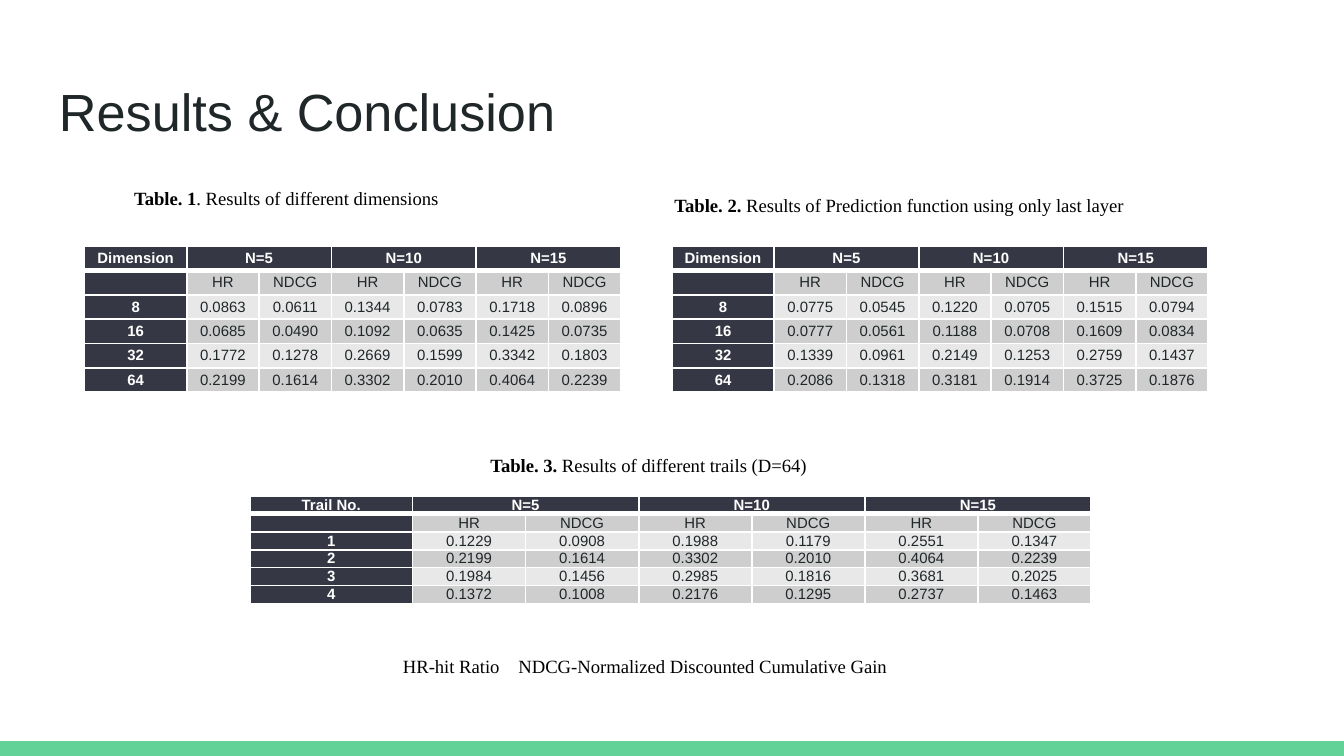
from lxml.etree import SubElement
from pptx import Presentation
from pptx.dml.color import RGBColor
from pptx.enum.shapes import MSO_SHAPE
from pptx.enum.text import MSO_ANCHOR, PP_ALIGN
from pptx.oxml.ns import qn
from pptx.util import Inches, Pt

WHITE = RGBColor(0xFF, 0xFF, 0xFF)
BLACK = RGBColor(0x00, 0x00, 0x00)
INK = RGBColor(0x20, 0x27, 0x29)
NAVY = RGBColor(0x35, 0x37, 0x44)
GREY = RGBColor(0xCE, 0xCE, 0xCF)
LIGHT = RGBColor(0xE8, 0xE8, 0xE9)
GREEN = RGBColor(0x63, 0xD2, 0x97)


def add_text(p, text, size=10, font="Times New Roman", color=BLACK, bold=False):
    r = p.add_run()
    r.text = text
    r.font.size = Pt(size)
    r.font.name = font
    r.font.color.rgb = color
    r.font.bold = bold


def set_borders(cell, top, bottom):
    tc_pr = cell._tc.get_or_add_tcPr()
    for side, width in (("L", 1), ("R", 1), ("T", top), ("B", bottom)):
        ln = SubElement(tc_pr, qn(f"a:ln{side}"), w=str(Pt(width)))
        fill = SubElement(ln, qn("a:solidFill"))
        SubElement(fill, qn("a:srgbClr"), val=str(WHITE))


# Widescreen 16:9 slide
prs = Presentation()
prs.slide_width = Inches(10)
prs.slide_height = Inches(10) * 9 // 16
s = prs.slides.add_slide(prs.slide_layouts[6])

# Bottom bar
bar_height = Inches(0.11)
sp = s.shapes.add_shape(MSO_SHAPE.RECTANGLE, 0, prs.slide_height - bar_height, prs.slide_width, bar_height)
sp.shadow.inherit = False
sp.fill.solid()
sp.fill.fore_color.rgb = GREEN
sp.line.fill.background()

# Title
tf = s.shapes.add_textbox(Inches(0.34), Inches(0.49), Inches(9.32), Inches(0.63)).text_frame
tf.word_wrap = True
tf.margin_top = tf.margin_bottom = Inches(0.1)
add_text(tf.paragraphs[0], "Results & Conclusion", size=28, font="Arial", color=INK)

# Table captions and legend: box, bold part, regular part
captions = [
    ((0.9, 1.34, 3.47, 0.5), "Table. 1", ". Results of different dimensions"),
    ((4.92, 1.39, 3.75, 0.27), "Table. 2. ", "Results of Prediction function using only last layer"),
    ((3.55, 3.33, 2.91, 0.27), "Table. 3. ", "Results of different trails (D=64)"),
    ((2.9, 4.82, 3.93, 0.27), "", "HR-hit Ratio\tNDCG-Normalized Discounted Cumulative Gain"),
]
for box, label, text in captions:
    tf = s.shapes.add_textbox(*map(Inches, box)).text_frame
    tf.word_wrap = True
    p = tf.paragraphs[0]
    if label:
        add_text(p, label, bold=True)
    add_text(p, text)
    if "\t" in text:
        tabs = SubElement(p._p.get_or_add_pPr(), qn("a:tabLst"))
        SubElement(tabs, qn("a:tab"), pos=str(Inches(0.86)), algn="l")

# Result tables: box, first column width, first heading, data rows
tables = [
    ((0.63, 1.83, 3.99, 1.09), 0.76, "Dimension", [
        "8 0.0863 0.0611 0.1344 0.0783 0.1718 0.0896",
        "16 0.0685 0.0490 0.1092 0.0635 0.1425 0.0735",
        "32 0.1772 0.1278 0.2669 0.1599 0.3342 0.1803",
        "64 0.2199 0.1614 0.3302 0.2010 0.4064 0.2239",
    ]),
    ((1.86, 3.69, 6.26, 0.8), 1.21, "Trail No.", [
        "1 0.1229 0.0908 0.1988 0.1179 0.2551 0.1347",
        "2 0.2199 0.1614 0.3302 0.2010 0.4064 0.2239",
        "3 0.1984 0.1456 0.2985 0.1816 0.3681 0.2025",
        "4 0.1372 0.1008 0.2176 0.1295 0.2737 0.1463",
    ]),
    ((5, 1.83, 3.99, 1.09), 0.76, "Dimension", [
        "8 0.0775 0.0545 0.1220 0.0705 0.1515 0.0794",
        "16 0.0777 0.0561 0.1188 0.0708 0.1609 0.0834",
        "32 0.1339 0.0961 0.2149 0.1253 0.2759 0.1437",
        "64 0.2086 0.1318 0.3181 0.1914 0.3725 0.1876",
    ]),
]
for box, first_width, heading, data in tables:
    rows = [[heading, "N=5", "", "N=10", "", "N=15", ""], [""] + ["HR", "NDCG"] * 3]
    rows += [line.split() for line in data]
    table = s.shapes.add_table(len(rows), 7, *map(Inches, box)).table
    for i, column in enumerate(table.columns):
        column.width = Inches((box[2] - first_width) / 6 if i else first_width)
    for i, row in enumerate(rows):
        table.rows[i].height = Inches(box[3] / len(rows))
        for j, text in enumerate(row):
            cell = table.cell(i, j)
            header = i == 0 or j == 0
            set_borders(cell, top=3 if i == 1 else 1, bottom=3 if i == 0 else 1)
            cell.fill.solid()
            cell.fill.fore_color.rgb = NAVY if header else GREY if i % 2 else LIGHT
            cell.vertical_anchor = MSO_ANCHOR.MIDDLE
            cell.margin_left = cell.margin_right = Inches(0.07)
            cell.margin_top = cell.margin_bottom = 0
            p = cell.text_frame.paragraphs[0]
            p.alignment = PP_ALIGN.CENTER
            if text:
                add_text(p, text, size=8, font="Arial", color=WHITE if header else INK, bold=header)
            else:
                # Small empty cells keep the row at its height
                SubElement(p._p, qn("a:endParaRPr"), sz="800")
    for j in (1, 3, 5):
        table.cell(0, j).merge(table.cell(0, j + 1))

prs.save("out.pptx")
